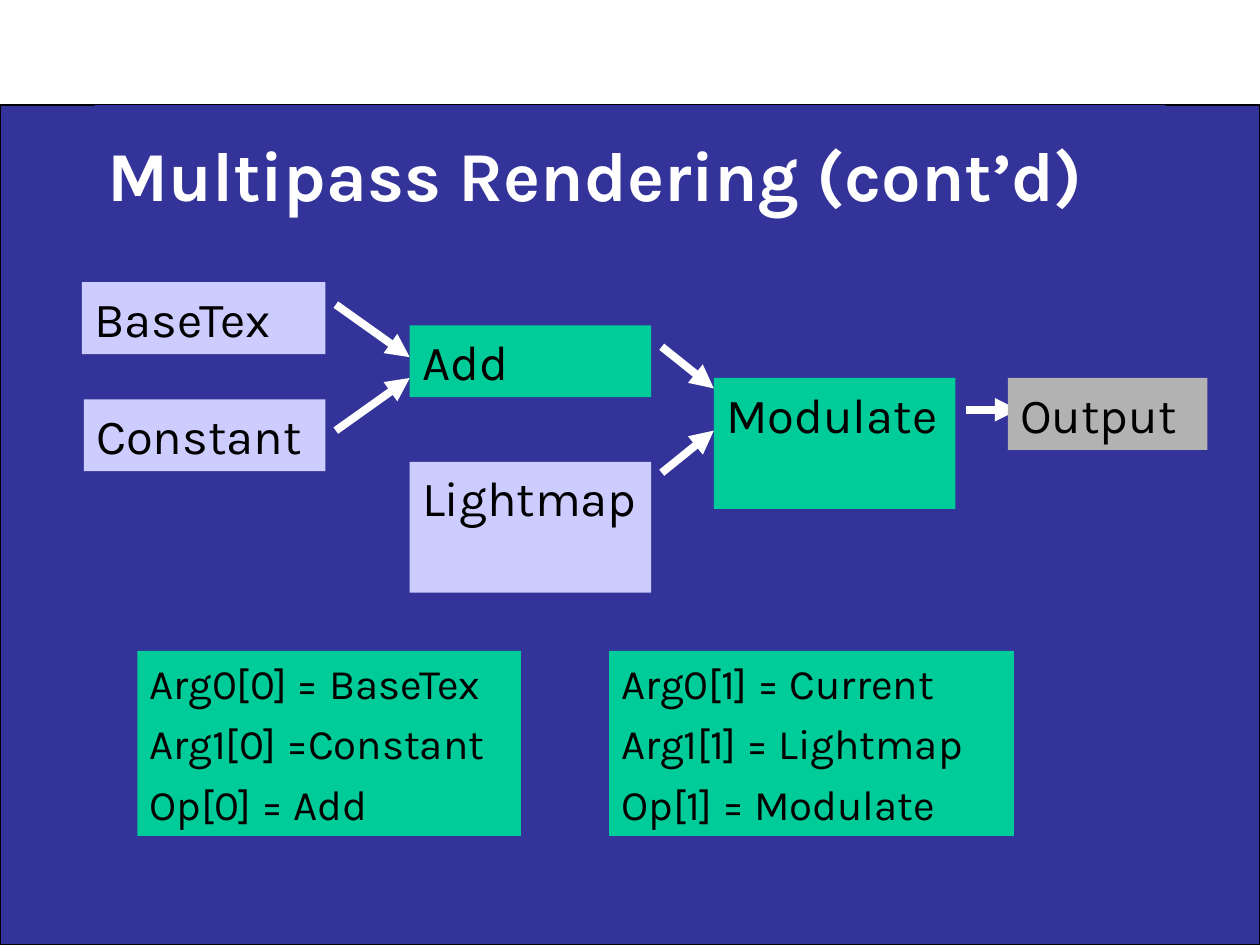
from pptx import Presentation
from pptx.dml.color import RGBColor
from pptx.enum.shapes import MSO_CONNECTOR, MSO_SHAPE
from pptx.enum.text import MSO_ANCHOR, PP_ALIGN
from pptx.oxml.ns import qn
from pptx.util import Cm, Pt
from lxml.etree import SubElement

NAVY = RGBColor(0x33, 0x33, 0x99)
LILAC = RGBColor(0xCC, 0xCC, 0xFF)
GREEN = RGBColor(0x00, 0xCC, 0x99)
GREY = RGBColor(0xB2, 0xB2, 0xB2)
WHITE = RGBColor(0xFF, 0xFF, 0xFF)
BLACK = RGBColor(0x00, 0x00, 0x00)


class PipelineSlide:
    """Style and drawing methods of the slide."""

    font_name = "Karla"

    def __init__(self, slide):
        """Keep the slide to draw on."""
        self.slide = slide

    def panel(self, left, top, width, height, fill, outline=None):
        """Add a filled rectangle, outlined on request."""
        panel = self.slide.shapes.add_shape(
            MSO_SHAPE.RECTANGLE, Cm(left), Cm(top), Cm(width), Cm(height))
        panel.shadow.inherit = False
        panel.fill.solid()
        panel.fill.fore_color.rgb = fill
        if outline is None:
            panel.line.fill.background()
        else:
            panel.line.color.rgb = outline
            panel.line.width = Pt(0.75)
        return panel

    def text_box(self, place, fill, lines, size=28, before=7, color=BLACK,
                 bold=False, anchor=MSO_ANCHOR.TOP):
        """Add a filled box with left-aligned lines of text."""
        frame = self.panel(*place, fill).text_frame
        frame.word_wrap = True
        frame.vertical_anchor = anchor
        frame.text = "\n".join(lines)
        for paragraph in frame.paragraphs:
            paragraph.alignment = PP_ALIGN.LEFT
            paragraph.space_before = Pt(before)
            font = paragraph.font
            font.name, font.size, font.bold = self.font_name, Pt(size), bold
            font.color.rgb = color

    def arrow(self, x1, y1, x2, y2):
        """Add a white arrow pointing at the second point."""
        arrow = self.slide.shapes.add_connector(
            MSO_CONNECTOR.STRAIGHT, Cm(x1), Cm(y1), Cm(x2), Cm(y2))
        arrow.line.color.rgb = WHITE
        arrow.line.width = Pt(4.5)
        SubElement(arrow.line._get_or_add_ln(), qn("a:tailEnd"), type="triangle")
        SubElement(arrow._element.spPr, qn("a:effectLst"))


presentation = Presentation()
presentation.slide_width, presentation.slide_height = Cm(25.4), Cm(19.05)
pipeline = PipelineSlide(
    presentation.slides.add_slide(presentation.slide_layouts[6]))

pipeline.panel(0, 2.12, 25.4, 16.93, NAVY, outline=BLACK)
pipeline.text_box((1.91, 2.12, 21.59, 2.75), NAVY,
                  ["Multipass Rendering (cont’d)"], size=40, before=0,
                  color=WHITE, bold=True, anchor=MSO_ANCHOR.MIDDLE)

for ends in [
    (6.77, 6.14, 8.26, 7.2),
    (6.77, 8.68, 8.26, 7.62),
    (13.34, 6.99, 14.39, 7.83),
    (13.34, 9.53, 14.39, 8.68),
    (19.47, 8.26, 20.53, 8.26),
]:
    pipeline.arrow(*ends)

STAGE_WIDTH, LOW, TALL = 4.87, 1.45, 2.64
for label, left, top, width, height, fill in [
    ("BaseTex", 1.65, 5.69, 4.91, LOW, LILAC),
    ("Constant", 1.69, 8.05, STAGE_WIDTH, LOW, LILAC),
    ("Add", 8.26, 6.56, STAGE_WIDTH, LOW, GREEN),
    ("Lightmap", 8.26, 9.31, STAGE_WIDTH, TALL, LILAC),
    ("Modulate", 14.39, 7.62, STAGE_WIDTH, TALL, GREEN),
    ("Output", 20.32, 7.62, 4.02, LOW, GREY),
]:
    pipeline.text_box((left, top, width, height), fill, [label])

for left, width, settings in [
    (2.77, 7.73, ["Arg0[0] = BaseTex", "Arg1[0] =Constant", "Op[0] = Add"]),
    (12.28, 8.16, ["Arg0[1] = Current", "Arg1[1] = Lightmap",
                   "Op[1] = Modulate"]),
]:
    pipeline.text_box((left, 13.12, width, 3.73), GREEN, settings,
                      size=24, before=6)

presentation.save("out.pptx")
